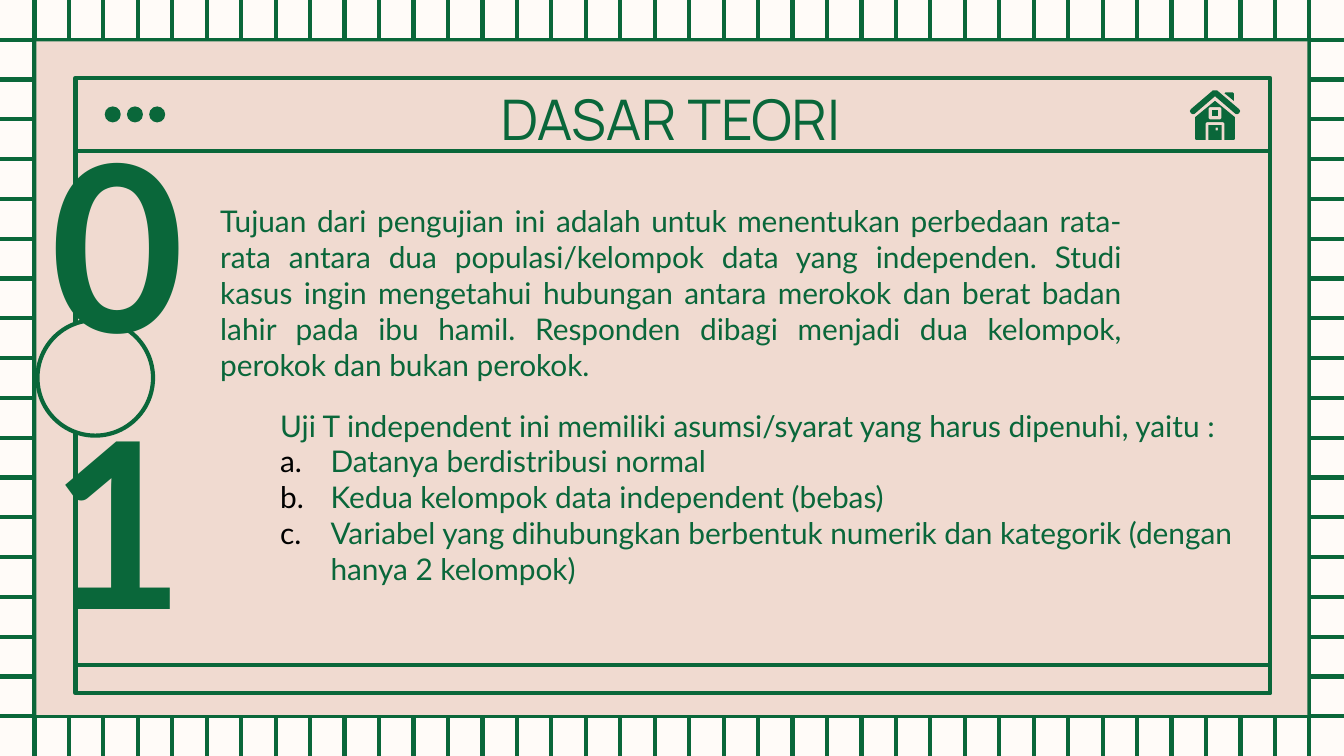
from lxml import etree
from pptx import Presentation
from pptx import util as u
from pptx.dml.color import RGBColor
from pptx.enum import shapes, text
from pptx.oxml.ns import qn

GREEN = RGBColor(0x0A, 0x67, 0x3A)
PINK = RGBColor(0xF0, 0xDA, 0xD0)
CREAM = RGBColor(0xFF, 0xFB, 0xF8)
W, H = 720, 405


class Deck:
    def __init__(self, prs):
        self.s = prs.slides.add_slide(prs.slide_layouts[6])
        self.line_width = u.Pt(2.25)
        fill = self.s.background.fill
        fill.solid()
        fill.fore_color.rgb = CREAM

    def line(self, x1, y1, x2, y2):
        c = self.s.shapes.add_connector(
            shapes.MSO_CONNECTOR.STRAIGHT, u.Pt(x1), u.Pt(y1), u.Pt(x2), u.Pt(y2))
        c.line.color.rgb = GREEN
        c.line.width = self.line_width
        etree.SubElement(c._element.spPr, qn("a:effectLst"))

    def paint(self, sp, fill, outlined):
        sp.shadow.inherit = False
        if fill is None:
            sp.fill.background()
        else:
            sp.fill.solid()
            sp.fill.fore_color.rgb = fill
        if outlined:
            sp.line.color.rgb = GREEN
            sp.line.width = self.line_width
        else:
            sp.line.fill.background()

    def shape(self, kind, x, y, w, h, fill=None, outlined=False):
        sp = self.s.shapes.add_shape(kind, u.Pt(x), u.Pt(y), u.Pt(w), u.Pt(h))
        self.paint(sp, fill, outlined)

    def outline(self, *contours):
        paths = [[(u.Pt(x), u.Pt(y)) for x, y in c] for c in contours]
        fb = self.s.shapes.build_freeform(*paths[0][0])
        fb.add_line_segments(paths[0][1:])
        for path in paths[1:]:
            fb.move_to(*path[0])
            fb.add_line_segments(path[1:])
        self.paint(fb.convert_to_shape(), GREEN, False)

    def text(self, x, y, w, h, lines, size, font="Lato", bold=False, inset=7.2,
             align=text.PP_ALIGN.LEFT, anchor=text.MSO_ANCHOR.TOP):
        tf = self.s.shapes.add_textbox(u.Pt(x), u.Pt(y), u.Pt(w), u.Pt(h)).text_frame
        tf.word_wrap = True
        tf.vertical_anchor = anchor
        tf.margin_left = tf.margin_right = u.Pt(7.2)
        tf.margin_top = tf.margin_bottom = u.Pt(inset)
        tf.text = "\n".join(lines)
        for p in tf.paragraphs:
            p.alignment = align
            for r in p.runs:
                r.font.size = u.Pt(size)
                r.font.name = font
                r.font.bold = bold
                r.font.color.rgb = GREEN
        return tf

    def letter(self, p, indent):
        pPr = p._p.get_or_add_pPr()
        pPr.set("marL", str(u.Pt(indent)))
        pPr.set("indent", str(-u.Pt(indent)))
        color = etree.SubElement(pPr, qn("a:buClr"))
        etree.SubElement(color, qn("a:srgbClr"), val="000000")
        etree.SubElement(pPr, qn("a:buFont"), typeface="Lato")
        etree.SubElement(pPr, qn("a:buAutoNum"), type="alphaLcPeriod")


def box(x1, y1, x2, y2):
    return [(x1, y1), (x2, y1), (x2, y2), (x1, y2)]


def mirrored(half, axis=650.9):
    return half + [(2 * axis - x, y) for x, y in reversed(half)]


def draw_home(d):
    d.outline([(656, 50), (656.5, 49.5), (660.5, 49.5), (661, 50), (661, 54)])
    d.outline(box(647.4, 67, 654.4, 74.9), box(651.3, 68.4, 652.5, 69.8))
    d.outline(box(649.2, 59.1, 652.6, 62.2))
    d.outline(mirrored([(650.9, 51.6), (640, 61), (639, 61.2), (638, 60.7),
                        (637.4, 59.5), (638, 58.5), (649.7, 48.5)]))
    d.outline(
        mirrored([(650.9, 54), (640.2, 62.8), (640.2, 74.4), (640.7, 74.9),
                  (645.9, 74.9), (645.9, 66), (646.6, 65.4)]),
        mirrored([(648.1, 57.4), (647.5, 58), (647.5, 63.4), (648.1, 64)]))


def main():
    prs = Presentation()
    prs.slide_width, prs.slide_height = u.Pt(W), u.Pt(H)
    d = Deck(prs)
    kind = shapes.MSO_SHAPE

    for i in range(1, 39):
        d.line(18.46 * i, 0, 18.46 * i, H)
    for i in range(1, 19):
        d.line(0, 21.32 * i, W, 21.32 * i)
    d.shape(kind.RECTANGLE, 19.5, 22.2, 681, 360.9, PINK)

    d.shape(kind.RECTANGLE, 40.5, 41.7, 640, 329.8, outlined=True)
    for y in (81, 356.3):
        d.line(40.8, y, 680.4, y)
    for i in range(3):
        d.shape(kind.OVAL, 56.1 + 11.9 * i, 57, 8.6, 8.6, GREEN)
    draw_home(d)

    d.text(110.9, 101.5, 497.5, 111.6, [
        "Tujuan dari pengujian ini adalah untuk menentukan perbedaan rata-rata "
        "antara dua populasi/kelompok data yang independen. Studi kasus ingin "
        "mengetahui hubungan antara merokok dan berat badan lahir pada ibu hamil. "
        "Responden dibagi menjadi dua kelompok, perokok dan bukan perokok.",
    ], 16, align=text.PP_ALIGN.JUSTIFY)

    d.shape(kind.OVAL, 20.1, 171.5, 61.9, 61.9, PINK, outlined=True)
    d.text(20.1, 184.3, 61.9, 36.7, ["01"], 124, bold=True,
           align=text.PP_ALIGN.CENTER, anchor=text.MSO_ANCHOR.MIDDLE)
    d.text(82, 38.2, 554.4, 45.4, ["DASAR TEORI"], 30, font="Manrope",
           align=text.PP_ALIGN.CENTER)

    tf = d.text(143, 214.6, 528.5, 123.8, [
        "Uji T independent ini memiliki asumsi/syarat yang harus dipenuhi, yaitu :",
        "Datanya berdistribusi normal",
        "Kedua kelompok data independent (bebas)",
        "Variabel yang dihubungkan berbentuk numerik dan kategorik "
        "(dengan hanya 2 kelompok)",
    ], 16, inset=3.6)
    tf.auto_size = text.MSO_AUTO_SIZE.SHAPE_TO_FIT_TEXT
    for p in tf.paragraphs[1:]:
        d.letter(p, 27)

    prs.save("out.pptx")


if __name__ == "__main__":
    main()
